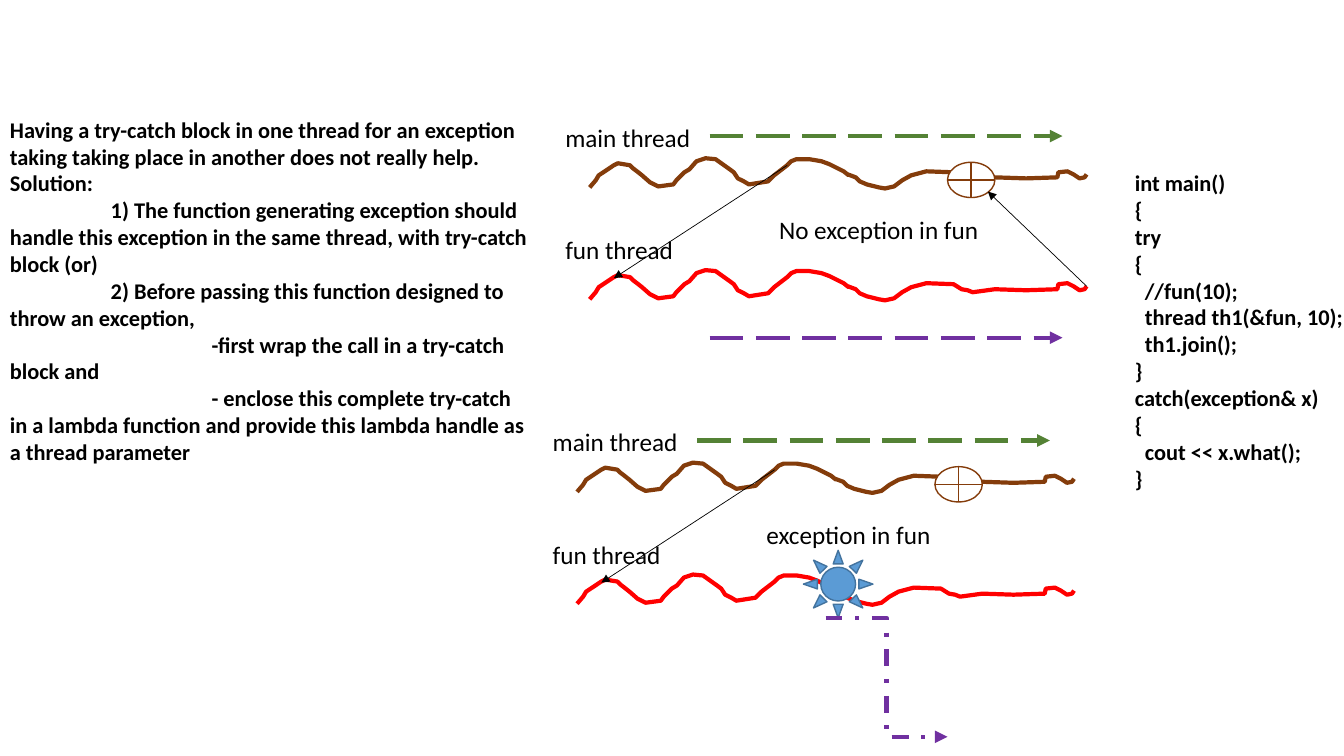
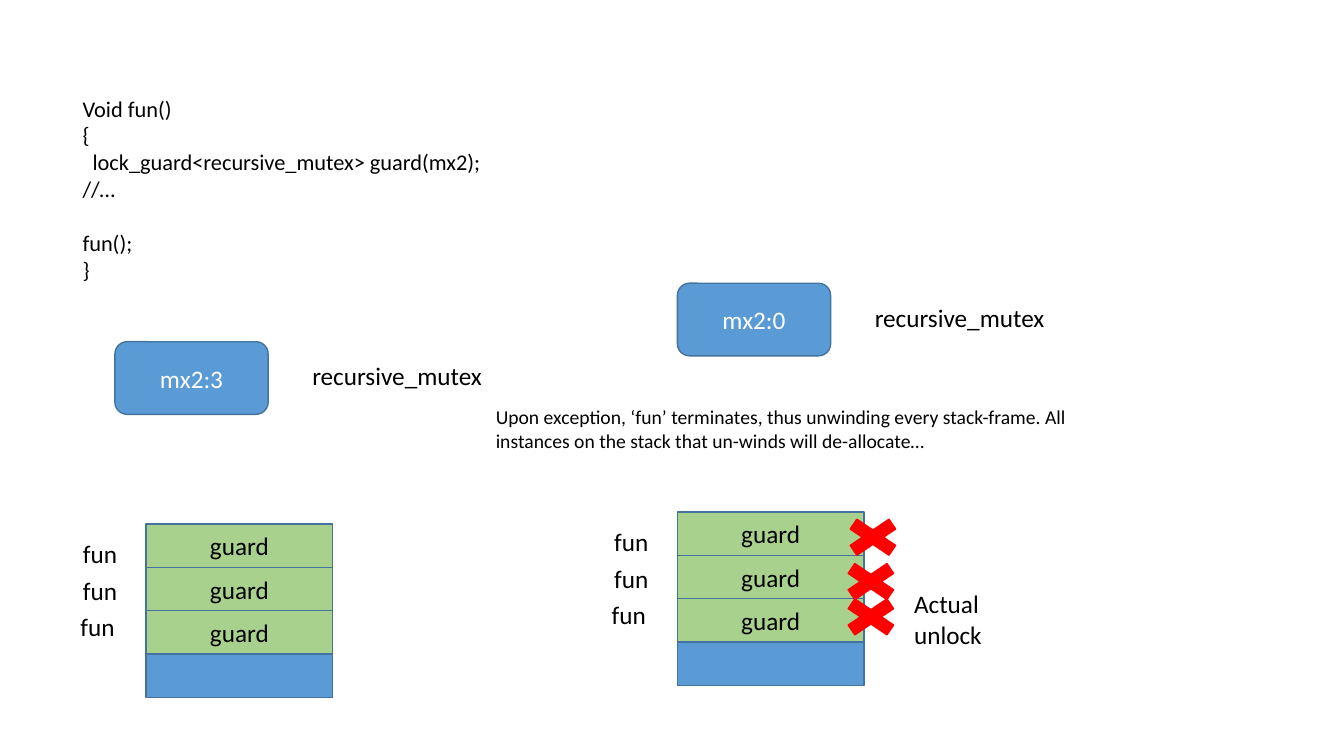
from dataclasses import dataclass

import pptx
import pptx.dml.color
import pptx.enum.dml
import pptx.enum.shapes
import pptx.enum.text
import pptx.util
from lxml import etree
from pptx.oxml.ns import qn

SHAPE = pptx.enum.shapes.MSO_SHAPE
CONNECTOR = pptx.enum.shapes.MSO_CONNECTOR
DASH = pptx.enum.dml.MSO_LINE
ALIGN = pptx.enum.text.PP_ALIGN
ANCHOR = pptx.enum.text.MSO_ANCHOR

# Grid: square cells, ten to the inch
COLUMNS, ROWS = 133.33, 75
CELL = 0.1

FONT = "Calibri"
BLACK, WHITE, RED = "000000", "FFFFFF", "FF0000"
BLUE, BLUE_EDGE = "5B9BD5", "43739E"
LEAF, GREEN = "A9D18E", "548235"
BROWN, PURPLE = "843C0B", "7030A0"

# Thread outline, in tenths of a cell
WAVE = [
    (0, 29), (6, 22), (9, 17), (18, 11), (24, 7), (28, 5), (40, 7), (43, 10),
    (47, 13), (52, 17), (60, 24), (68, 28), (83, 26), (86, 22), (91, 17),
    (94, 14), (99, 11), (106, 3), (115, 0), (125, 1), (139, 11), (143, 14),
    (147, 20), (153, 23), (158, 26), (177, 23), (183, 17), (196, 7), (200, 3),
    (205, 1), (218, 1), (230, 3), (238, 6), (246, 10), (252, 13), (257, 17),
    (256, 16), (264, 19), (268, 23), (275, 26), (287, 29), (293, 30),
    (302, 28), (310, 22), (319, 17), (334, 13), (361, 14), (369, 19),
    (375, 20), (380, 22), (402, 19), (433, 20), (464, 19), (465, 14),
    (474, 13), (480, 16), (486, 20), (491, 19), (493, 16),
]

MAIN_CODE = """int main()
{
try
{
  //fun(10);
  thread th1(&fun, 10);
  th1.join();
}
catch(exception& x)
{
  cout << x.what();
}"""

FUN_CODE = """Void fun()
{
  lock_guard<recursive_mutex> guard(mx2);
//…
fun();
}"""

ADVICE = """Having a try-catch block in one thread for an exception taking taking place in another does not really help.
Solution:
\t1) The function generating exception should handle this exception in the same thread, with try-catch block (or)
\t2) Before passing this function designed to throw an exception,
\t\t-first wrap the call in a try-catch block and
\t\t- enclose this complete try-catch in a lambda function and provide this lambda handle as a thread parameter"""


@dataclass
class Box:
    x: float
    y: float
    w: float
    h: float


@dataclass
class Scene:
    """Two threads and what happens between them."""
    dx: float
    dy: float
    note: str


@dataclass
class Stack:
    """A mutex with its counter, and the call stack below it."""
    mutex_x: float
    mutex_y: float
    count: int
    x: float
    y: float


SCENES = [Scene(0, 0, "No exception in fun"),
          Scene(-1.25, 30.2, "exception in fun")]
STACKS = [Stack(67.2, 28.1, 0, 67.2, 50.8),
          Stack(11.4, 33.9, 3, 14.5, 52)]
CROSSES = [(82.9, 50.8), (82.7, 55.2), (82.7, 58.7)]


def cells(n: float) -> int:
    return pptx.util.Inches(n * CELL)


def color(value: str) -> pptx.dml.color.RGBColor:
    return pptx.dml.color.RGBColor.from_string(value)


def place(box: Box) -> list[int]:
    return [cells(n) for n in (box.x, box.y, box.w, box.h)]


def set_line(sp, value: str, width: float) -> None:
    sp.line.color.rgb = color(value)
    sp.line.width = pptx.util.Pt(width)


def add_run(p, text: str, size: float, value: str = BLACK, bold: bool = False) -> None:
    r = p.add_run()
    r.text = text
    r.font.name = FONT
    r.font.size = pptx.util.Pt(size)
    r.font.bold = bold
    r.font.color.rgb = color(value)


def add_tabs(p) -> None:
    tabs = etree.SubElement(p._p.get_or_add_pPr(), qn("a:tabLst"))
    for inches in (1, 2):
        etree.SubElement(tabs, qn("a:tab"), pos=str(pptx.util.Inches(inches)), algn="l")


def add_text(s, box: Box, text: str, size: float = 18, bold: bool = False,
             wrap: bool = True):
    tf = s.shapes.add_textbox(*place(box)).text_frame
    tf.word_wrap = wrap
    for i, line in enumerate(text.split("\n")):
        p = tf.add_paragraph() if i else tf.paragraphs[0]
        if "\t" in line:
            add_tabs(p)
        add_run(p, line, size, bold=bold)
    return tf


def add_figure(s, kind, box: Box, fill: str, edge: str = BLUE_EDGE,
               text: str = "", value: str = BLACK) -> None:
    sp = s.shapes.add_shape(kind, *place(box))
    sp.shadow.inherit = False
    sp.fill.solid()
    sp.fill.fore_color.rgb = color(fill)
    set_line(sp, edge, 1)
    if text:
        tf = sp.text_frame
        tf.vertical_anchor = ANCHOR.MIDDLE
        p = tf.paragraphs[0]
        p.alignment = ALIGN.CENTER
        add_run(p, text, 18, value)


def add_arrow(s, start: tuple[float, float], end: tuple[float, float],
              value: str = BLACK, width: float = 0.5, dash=None,
              kind=CONNECTOR.STRAIGHT) -> None:
    sp = s.shapes.add_connector(kind, *[cells(n) for n in (*start, *end)])
    set_line(sp, value, width)
    if dash is not None:
        sp.line.dash_style = dash
    etree.SubElement(sp.line._get_or_add_ln(), qn("a:tailEnd"), type="triangle")
    etree.SubElement(sp._element.spPr, qn("a:effectLst"))


def add_wave(s, x: float, y: float, value: str) -> None:
    builder = s.shapes.build_freeform(*WAVE[0], scale=cells(0.1))
    builder.add_line_segments(WAVE[1:], close=False)
    sp = builder.convert_to_shape(cells(x), cells(y))
    sp.shadow.inherit = False
    sp.fill.background()
    set_line(sp, value, 3)


def add_scene(s, scene: Scene) -> None:
    dx, dy = scene.dx, scene.dy
    threads = [("main thread", BROWN, 11.6, 15.7), ("fun thread", RED, 22.8, 26.8)]
    for name, value, label_y, wave_y in threads:
        add_wave(s, 58.5 + dx, wave_y + dy, value)
        add_text(s, Box(55.1 + dx, label_y + dy, 15.3, 4), name)
    add_arrow(s, (78.1 + dx, 16.4 + dy), (60.9 + dx, 27.6 + dy))
    add_text(s, Box(76.3 + dx, 20.8 + dy, 21.9, 4), scene.note)
    add_arrow(s, (70.4 + dx, 13.5 + dy), (105.4 + dx, 13.5 + dy), GREEN, 3, DASH.LONG_DASH)
    add_figure(s, SHAPE.FLOWCHART_OR, Box(94 + dx, 16.1 + dy, 4.7, 3.5), WHITE, BROWN)


def add_stack(s, stack: Stack) -> None:
    # Mutex
    mx, my = stack.mutex_x, stack.mutex_y
    add_figure(s, SHAPE.ROUNDED_RECTANGLE, Box(mx, my, 15.2, 7.2), BLUE,
               text=f"mx2:{stack.count}", value=WHITE)
    add_text(s, Box(mx + 18.6, my + 1.4, 21.7, 4), "recursive_mutex")
    # Frames, bottom first
    row = 4.3
    for i in (3, 2, 1, 0):
        frame = Box(stack.x, stack.y + i * row, 18.5, row)
        if i == 3:
            add_figure(s, SHAPE.RECTANGLE, frame, BLUE)
        else:
            add_figure(s, SHAPE.RECTANGLE, frame, LEAF, text="guard")
    # Calls
    for i, shift in enumerate((0, 0, -0.25)):
        add_text(s, Box(stack.x - 7.25 + shift, stack.y + 0.9 + i * 3.65, 8.6, 4), "fun")


def build_threads(s) -> None:
    for scene in SCENES:
        add_scene(s, scene)
    # Normal return
    add_arrow(s, (70.4, 33.5), (105.4, 33.5), PURPLE, 3, DASH.LONG_DASH)
    add_arrow(s, (107.8, 28.4), (98, 19))
    # Exception escapes
    add_figure(s, SHAPE.SUN, Box(79.7, 54.6, 6.9, 6.7), BLUE)
    add_arrow(s, (81.9, 61.3), (94, 73.1), PURPLE, 3, DASH.DASH_DOT, CONNECTOR.ELBOW)
    # Advice and code
    add_text(s, Box(0, 11, 53.5, 36), ADVICE, 16, bold=True)
    tf = add_text(s, Box(111.6, 16.3, 21.7, 33.3), MAIN_CODE, 16, bold=True, wrap=False)
    tf.margin_right = 0


def build_unwinding(s) -> None:
    tf = add_text(s, Box(7.2, 8.9, 46.5, 19.9), FUN_CODE, 16)
    tf.paragraphs[4].space_before = pptx.util.Pt(19.5)
    for stack in STACKS:
        add_stack(s, stack)
    add_text(s, Box(48.2, 39.7, 65.4, 5.7),
             "Upon exception, ‘fun’ terminates, thus unwinding every stack-frame. "
             "All instances on the stack that un-winds will de-allocate…", 14)
    # Unwound frames
    for x, y in CROSSES:
        add_figure(s, SHAPE.MATH_MULTIPLY, Box(x, y, 7.4, 5), RED, RED)
    add_text(s, Box(89.7, 57.9, 14, 7.1), "Actual unlock")


def main() -> None:
    prs = pptx.Presentation()
    prs.slide_width, prs.slide_height = cells(COLUMNS), cells(ROWS)
    for build in (build_threads, build_unwinding):
        build(prs.slides.add_slide(prs.slide_layouts[6]))
    prs.save("out.pptx")


if __name__ == "__main__":
    main()
